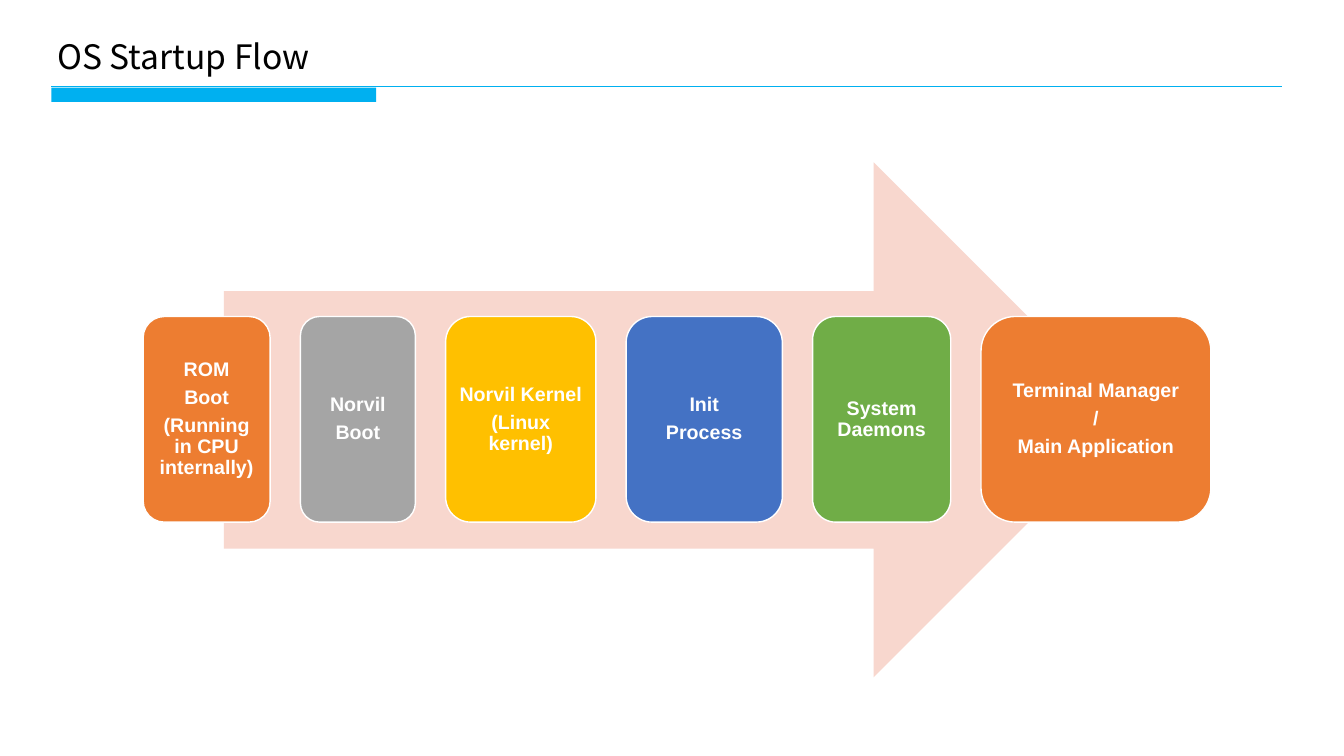
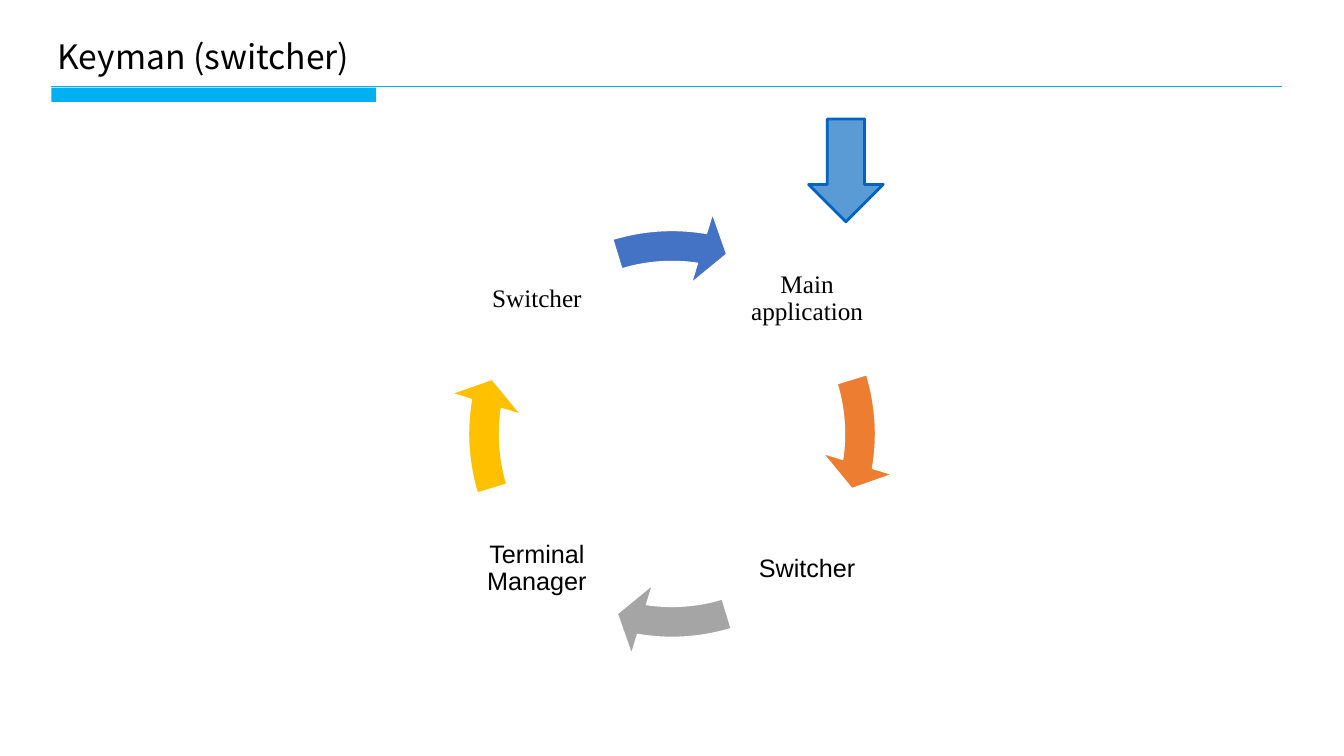
from pptx import Presentation
from pptx.dml.color import RGBColor as Rgb
from pptx.enum.shapes import MSO_CONNECTOR as Line, MSO_SHAPE as Form
from pptx.enum.text import MSO_ANCHOR as Anchor, PP_ALIGN as Align
from pptx.oxml.ns import qn
from pptx.util import Inches, Pt
from lxml.etree import SubElement

# Theme: colours, fonts and type sizes
theme = {
    "black": "000000", "white": "FFFFFF", "sky": "00B0F0", "blush": "F8D7CE",
    "orange": "ED7D31", "gray": "A5A5A5", "gold": "FFC000", "blue": "4472C4",
    "green": "70AD47", "azure": "5B9BD5", "navy": "0563C1",
    "head": {"name": "Noto Sans CJK SC", "size": Pt(24)},
    "step": {"name": "Arial", "size": Pt(14), "bold": True},
    "sans": {"name": "Arial", "size": Pt(18)},
    "serif": {"name": "Times New Roman", "size": Pt(18)},
}


def write(shape, lines, font, color, inset):
    """Centre the lines in a shape or text box."""
    frame = shape.text_frame
    frame.word_wrap = True
    frame.vertical_anchor = Anchor.MIDDLE
    for side in ("left", "top", "right", "bottom"):
        setattr(frame, "margin_" + side, Inches(inset))
    frame.text = "\n".join(lines)
    look = theme[font]
    rules = {"alignment": Align.CENTER, "line_spacing": 0.9,
             "space_after": Pt(round(look["size"].pt * 0.35, 1))}
    for para in frame.paragraphs:
        for key, value in rules.items():
            setattr(para, key, value)
        for key, value in look.items():
            setattr(para.font, key, value)
        para.font.color.rgb = Rgb.from_string(theme[color])


def draw(slide, form, box, fill, edge=None, width=1):
    """Add a flat preset shape, with an outline if edge is given."""
    shape = slide.shapes.add_shape(form, *map(Inches, box))
    shape.shadow.inherit = False
    shape.fill.solid()
    shape.fill.fore_color.rgb = Rgb.from_string(theme[fill])
    if edge:
        shape.line.color.rgb = Rgb.from_string(theme[edge])
        shape.line.width = Pt(width)
    else:
        shape.line.fill.background()
    return shape


deck = Presentation()
deck.slide_width, deck.slide_height = Inches(13.33), Inches(7.5)

# Title, rule and accent bar on every slide
slides = []
for title in ("OS Startup Flow", "Keyman (switcher)"):
    slide = deck.slides.add_slide(deck.slide_layouts[6])
    frame = slide.shapes.add_textbox(
        *map(Inches, (0.47, 0.31, 5.09, 0.5))).text_frame
    frame.word_wrap = True
    frame.text = title
    font = frame.paragraphs[0].font
    for key, value in theme["head"].items():
        setattr(font, key, value)
    font.color.rgb = Rgb.from_string(theme["black"])
    rule = slide.shapes.add_connector(
        Line.STRAIGHT, *map(Inches, (0.51, 0.86, 12.72, 0.86)))
    rule.line.color.rgb = Rgb.from_string(theme["sky"])
    rule.line.width = Pt(1)
    SubElement(rule.element.spPr, qn("a:effectLst"))
    draw(slide, Form.RECTANGLE, (0.51, 0.87, 3.22, 0.14), "sky")
    slides.append(slide)
flow, cycle = slides

# Startup steps, left to right on a wide arrow
draw(flow, Form.RIGHT_ARROW, (2.22, 1.61, 9, 5.11), "blush")
steps = [
    (1.26, "orange", ["ROM", "Boot", "(Running in CPU internally)"]),
    (1.14, "gray", ["Norvil", "Boot"]),
    (1.49, "gold", ["Norvil Kernel", "(Linux kernel)"]),
    (1.55, "blue", ["Init", "Process"]),
    (1.37, "green", ["System Daemons"]),
    (2.28, "orange", ["Terminal Manager", "/", "Main Application"]),
]
left, gap = 1.42, 0.3
for width, fill, lines in steps:
    step = draw(flow, Form.ROUNDED_RECTANGLE, (left, 3.14, width, 2.04),
                fill, "white")
    write(step, lines, "step", "white", 0.06)
    left += width + gap

# Switcher cycle: each arrow is a quarter turn after the last
near, far, top, low = 4.54, 7.22, 2.18, 4.86
turn, quarter = 216, 54
stops = [
    (far, top, "Main application", "serif", "orange"),
    (far, low, "Switcher", "sans", "gray"),
    (near, low, "Terminal Manager", "sans", "gold"),
    (near, top, "Switcher", "serif", "blue"),
]
for i, (x, y, label, font, fill) in enumerate(stops):
    box = cycle.shapes.add_textbox(*map(Inches, (x, y, 1.57, 1.57)))
    write(box, [label], font, "black", 0.03)
    arc = draw(cycle, Form.CIRCULAR_ARROW, (4.44, 2.08, 4.45, 4.45),
               fill, "white")
    end = 5.5 + i * quarter
    start = (205.85 + i * quarter) % turn
    for j, value in enumerate((0.069, 4.65, end, start, 0.081)):
        arc.adjustments[j] = value

# Entry arrow
draw(cycle, Form.DOWN_ARROW, (8.02, 1.18, 0.74, 1.02), "azure", "navy", 2)

deck.save("out.pptx")
